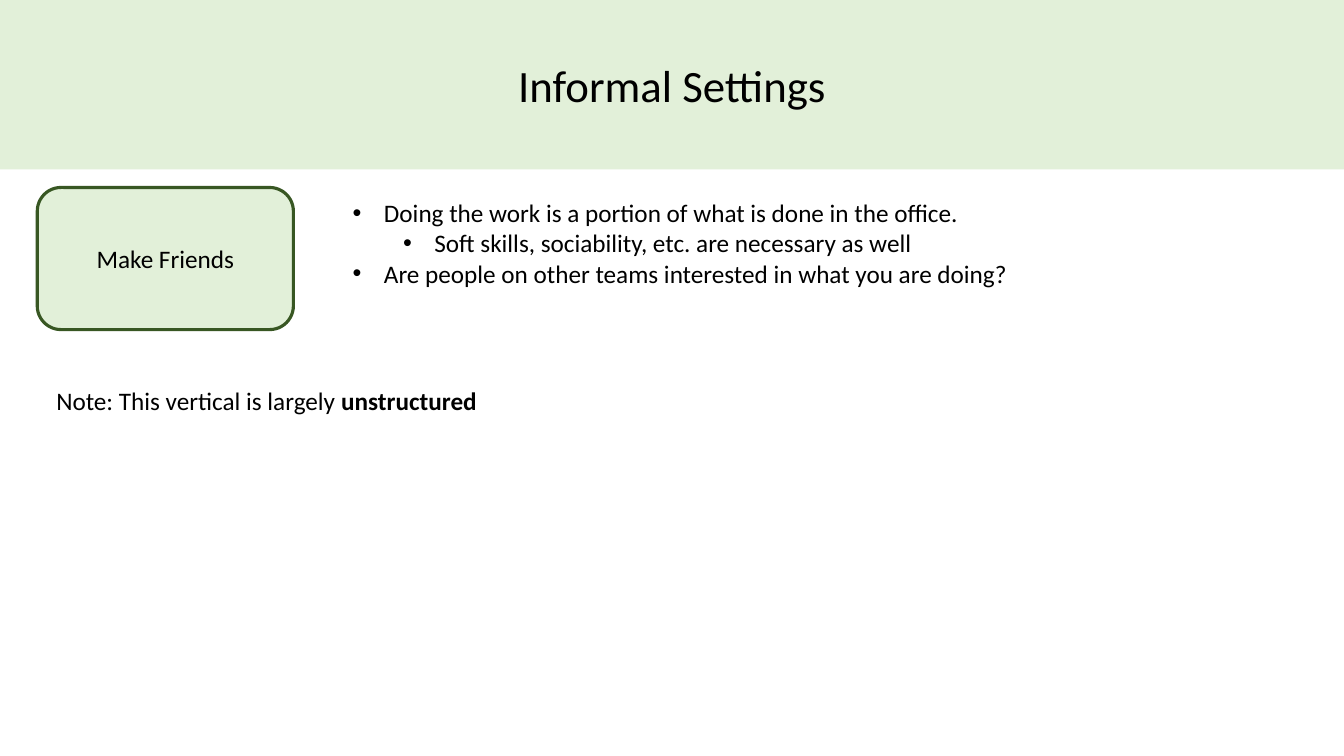
from dataclasses import dataclass

from lxml import etree
from pptx import Presentation
from pptx import util as u
from pptx.dml.color import RGBColor
from pptx.enum import shapes, text
from pptx.oxml import ns


@dataclass(frozen=True)
class Theme:
    font: str = "Calibri"
    ink: str = "000000"
    pale: str = "E2F0D9"
    edge: str = "385723"
    head: int = 32
    body: int = 18
    rule: float = 2.25


class Deck:
    def __init__(self, theme):
        self.theme = theme
        self.show = Presentation()
        self.show.slide_width = u.Inches(13.33)
        self.show.slide_height = u.Inches(7.5)
        self.slide = self.show.slides.add_slide(self.show.slide_layouts[5])

    def style(self, para, size):
        font = para.font
        font.name = self.theme.font
        font.size = u.Pt(size)
        font.color.rgb = RGBColor.from_string(self.theme.ink)

    def paint(self, shape):
        shape.fill.solid()
        shape.fill.fore_color.rgb = RGBColor.from_string(self.theme.pale)

    def label(self, shape, words, size):
        frame = shape.text_frame
        frame.text = words
        frame.word_wrap = True
        frame.auto_size = text.MSO_AUTO_SIZE.NONE
        frame.vertical_anchor = text.MSO_ANCHOR.MIDDLE
        para = frame.paragraphs[0]
        para.alignment = text.PP_ALIGN.CENTER
        self.style(para, size)

    def title(self, words, *area):
        head = self.slide.shapes.title
        head.left, head.top, head.width, head.height = map(u.Inches, area)
        geom = etree.SubElement(head.element.spPr, ns.qn("a:prstGeom"), prst="roundRect")
        etree.SubElement(geom, ns.qn("a:avLst"))
        self.paint(head)
        self.label(head, words, self.theme.head)

    def box(self, words, *area):
        card = self.slide.shapes.add_shape(
            shapes.MSO_SHAPE.ROUNDED_RECTANGLE, *map(u.Inches, area))
        card.shadow.inherit = False
        self.paint(card)
        card.line.color.rgb = RGBColor.from_string(self.theme.edge)
        card.line.width = u.Pt(self.theme.rule)
        self.label(card, words, self.theme.body)

    def frame(self, *area):
        frame = self.slide.shapes.add_textbox(*map(u.Inches, area)).text_frame
        frame.word_wrap = True
        frame.auto_size = text.MSO_AUTO_SIZE.SHAPE_TO_FIT_TEXT
        return frame

    def list(self, items, *area):
        frame = self.frame(*area)
        for spot, (level, words) in enumerate(items):
            para = frame.add_paragraph() if spot else frame.paragraphs[0]
            para.text = words
            para.level = level
            props = para._p.get_or_add_pPr()
            props.set("marL", str(u.Inches(0.31 + 0.5 * level)))
            props.set("indent", str(u.Inches(-0.31)))
            etree.SubElement(props, ns.qn("a:buFont"), typeface="Arial")
            etree.SubElement(props, ns.qn("a:buChar"), char="•")
            self.style(para, self.theme.body)

    def note(self, plain, strong, *area):
        para = self.frame(*area).paragraphs[0]
        para.add_run().text = plain
        run = para.add_run()
        run.text = strong
        run.font.bold = True
        self.style(para, self.theme.body)


def main():
    deck = Deck(Theme())
    deck.title("Informal Settings", 0, 0, 13.33, 1.68)
    deck.box("Make Friends", 0.37, 1.86, 2.54, 1.41)
    deck.list([
        (0, "Doing the work is a portion of what is done in the office."),
        (1, "Soft skills, sociability, etc. are necessary as well"),
        (0, "Are people on other teams interested in what you are doing?"),
    ], 3.4, 1.91, 9.62, 1.01)
    deck.note("Note: This vertical is largely ", "unstructured", 0.46, 3.77, 12.29, 0.4)
    deck.show.save("out.pptx")


if __name__ == "__main__":
    main()
